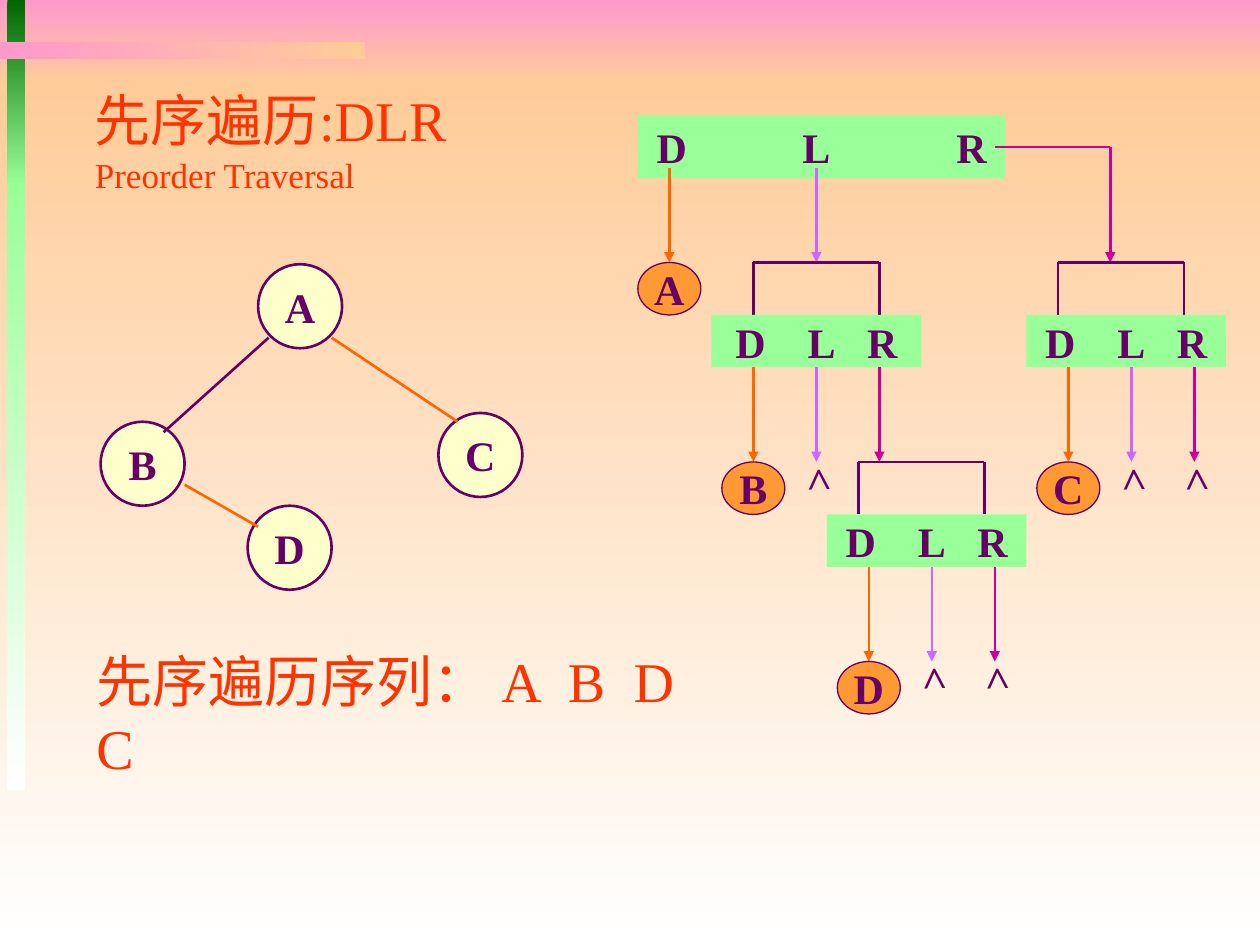
"""Build a slide that traces the preorder traversal of a binary tree."""
from lxml.etree import SubElement
from pptx import Presentation
from pptx.dml.color import RGBColor as RGB
from pptx.enum.shapes import MSO_CONNECTOR as Link, MSO_SHAPE as Shape
from pptx.enum.text import MSO_ANCHOR as Anchor, MSO_AUTO_SIZE as Fit, PP_ALIGN as Align
from pptx.oxml.ns import qn
from pptx.util import Pt

FONT = "Times New Roman"
HUES = {
    "pink": "FF99CC", "peach": "FFCC99", "white": "FFFFFF", "forest": "006600",
    "mint": "99FF99", "cream": "FFFFCC", "plum": "660066", "orange": "FF6600",
    "amber": "FF9933", "violet": "CC66FF", "rose": "CC0099", "red": "FF3300",
}


def hue(name):
    """Return the named colour."""
    return RGB.from_string(HUES[name])


def write(frame, text, size=24, color="plum", bold=True, align=Align.LEFT,
          tabs=(), new=False):
    """Write one paragraph in the frame with the given format."""
    para = frame.add_paragraph() if new else frame.paragraphs[0]
    para.alignment = align
    if tabs:
        stops = SubElement(para._p.get_or_add_pPr(), qn("a:tabLst"))
        for stop in tabs:
            SubElement(stops, qn("a:tab"), pos=str(Pt(stop)), algn="l")
    run = para.add_run()
    run.text = text
    font = run.font
    font.name, font.size, font.bold = FONT, Pt(size), bold
    font.color.rgb = hue(color)


def draw(slide, kind, box, fill, edge=0):
    """Add a flat shape; a pair of fill names makes a gradient base."""
    shape = slide.shapes.add_shape(kind, *map(Pt, box))
    shape.shadow.inherit = False
    if isinstance(fill, tuple):
        shape.fill.gradient()
        for stop, name in zip(shape.fill.gradient_stops, fill):
            stop.color.rgb = hue(name)
    else:
        shape.fill.solid()
        shape.fill.fore_color.rgb = hue(fill)
    if edge:
        shape.line.color.rgb = hue("plum")
        shape.line.width = Pt(edge)
    else:
        shape.line.fill.background()
    return shape


def link(slide, start, end, color="plum", arrow=False):
    """Join two points with a line or an arrow."""
    line = slide.shapes.add_connector(Link.STRAIGHT, *map(Pt, (*start, *end)))
    line.line.color.rgb = hue(color)
    line.line.width = Pt(1.5)
    if arrow:
        SubElement(line.line._get_or_add_ln(), qn("a:tailEnd"), type="triangle")
    SubElement(line._element.spPr, qn("a:effectLst"))


def disc(slide, box, text, fill, edge):
    """Draw a lettered ellipse."""
    frame = draw(slide, Shape.OVAL, box, fill, edge).text_frame
    frame.word_wrap = False
    frame.vertical_anchor = Anchor.MIDDLE
    write(frame, text, align=Align.CENTER)


def backdrop(slide, box):
    """Paint the page gradients and the crossed bands."""
    left, top, wide, high = box
    bands = [
        (0, 0, wide, 48, ("pink", "peach"), 270),
        (0, 48, wide, high - 48, ("peach", "white"), 270),
        (4.25, 0, 10, 106, ("forest", "mint"), 270),
        (4.25, 105, 10, 346.5, ("mint", "white"), 270),
        (0, 24, 208.5, 9.75, ("pink", "peach"), 0),
    ]
    for x, y, w, h, pair, angle in bands:
        band = draw(slide, Shape.RECTANGLE, (left + x, top + y, w, h), pair)
        band.fill.gradient_angle = angle


def heading(slide, box):
    """Place the title above the backdrop."""
    title = slide.shapes.title
    slide.shapes.element.append(title.element)
    title.left, title.top, title.width, title.height = map(Pt, box)
    frame = title.text_frame
    frame.auto_size = Fit.NONE
    frame.vertical_anchor = Anchor.TOP
    write(frame, "先序遍历:DLR", size=32, color="red", bold=False)
    write(frame, "Preorder Traversal", size=20, color="red", bold=False, new=True)


def tree(slide, box):
    """Draw the binary tree."""
    left, top, size = box
    nodes = {"A": (90, 0), "D": (84, 138), "B": (0, 90), "C": (193, 85)}
    for name, (x, y) in nodes.items():
        disc(slide, (left + x, top + y, size, size), name, "cream", 1.5)
    edges = [
        ((96, 42), (36, 96), "plum"),
        ((132, 42), (204, 90), "orange"),
        ((48, 126), (90, 150), "orange"),
    ]
    for (ax, ay), (bx, by), color in edges:
        link(slide, (left + ax, top + ay), (left + bx, top + by), color)


def bar(slide, box, stops, end):
    """Draw a D L R bar with its letters centred as a set."""
    frame = draw(slide, Shape.RECTANGLE, box, "mint").text_frame
    frame.word_wrap = True
    frame.vertical_anchor = Anchor.MIDDLE
    frame.margin_left, frame.margin_right = Pt((box[2] - end) / 2), 0
    write(frame, "D\tL\tR", tabs=stops)


def visit(slide, x, y, name):
    """Drop an arrow to the visited node."""
    link(slide, (x, y), (x, y + 54), "orange", arrow=True)
    disc(slide, (x - 18, y + 54, 36, 30), name, "amber", 0.75)


def empty(slide, x, y):
    """Mark an empty subtree."""
    note = slide.shapes.add_textbox(*map(Pt, (x - 15, y - 9, 30, 36)))
    note.rotation = 268.3
    note.text_frame.word_wrap = True
    write(note.text_frame, ">")


def call(slide, box, name, inset=18, leaf=True):
    """Draw one recursive call with its bracket and its three branches."""
    left, top, wide, high = box
    a, b = left + inset, left + inset + 72
    link(slide, (a, top - 30), (b, top - 30))
    for x in (a, b):
        link(slide, (x, top - 30), (x, top))
    bar(slide, box, (41.3, 75.3), 92.6)
    base = top + high
    visit(slide, left + 24, base, name)
    for x, color, void in ((60, "violet", True), (96, "rose", leaf)):
        link(slide, (left + x, base), (left + x, base + 54), color, arrow=True)
        if void:
            empty(slide, left + x, base + 54)


def trace(slide, box):
    """Draw the root call and the calls below it."""
    left, top = box
    bar(slide, (left, top, 210, 36), (83.3, 171.3), 188.6)
    visit(slide, left + 18, top + 30, "A")
    link(slide, (left + 102, top + 30), (left + 102, top + 84), "violet", arrow=True)
    turn = (left + 270, top + 18)
    link(slide, (left + 204, top + 18), turn, "rose")
    link(slide, turn, (turn[0], top + 84), "rose", arrow=True)
    call(slide, (left + 42, top + 114, 120, 30), "B", inset=24, leaf=False)
    call(slide, (left + 108, top + 228, 114, 30), "D")
    call(slide, (left + 222, top + 114, 114, 30), "C")


def order(slide, box):
    """Write the resulting sequence."""
    frame = slide.shapes.add_textbox(*map(Pt, box)).text_frame
    frame.word_wrap = True
    write(frame, "先序遍历序列：\tA\tB\tD\tC", size=32, color="red", bold=False,
          tabs=(231.5, 269.5, 307, 346))


def main():
    """Build and save the slide."""
    deck = Presentation()
    deck.slide_width, deck.slide_height = Pt(720), Pt(540)
    slide = deck.slides.add_slide(deck.slide_layouts[5])
    backdrop(slide, (0, 0, 720, 540))
    tree(slide, (57.5, 151, 48))
    trace(slide, (364.5, 66))
    order(slide, (48, 366, 376, 84))
    heading(slide, (47, 45.5, 227, 70))
    deck.save("out.pptx")


if __name__ == "__main__":
    main()
